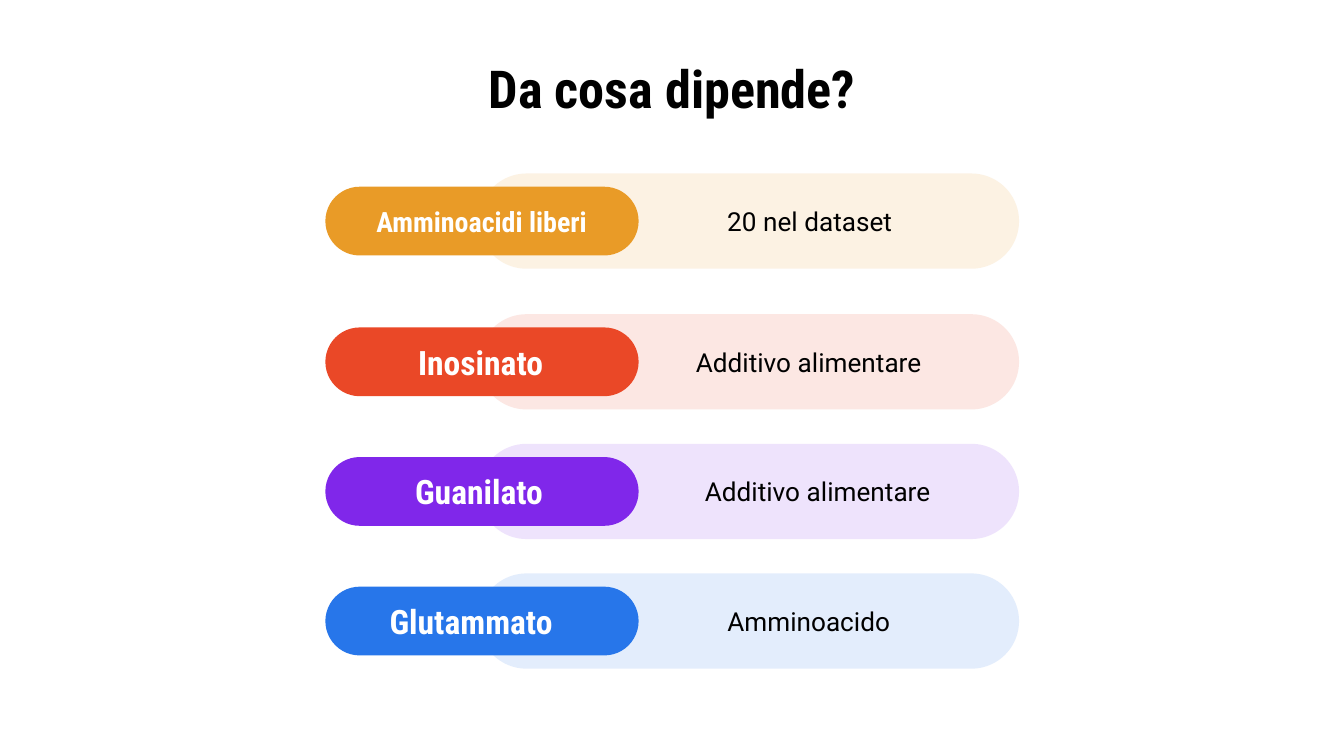
from lxml import etree
from pptx import Presentation
from pptx import util as u
from pptx.dml.color import RGBColor
from pptx.enum import shapes, text
from pptx.oxml.ns import qn

HEADING_FONT = "Roboto Condensed"
BODY_FONT = "Roboto"
ROW_LEFT, ROW_WIDTH, ROW_HEIGHT = 6.15, 13.11, 1.8

# top, colour, label, label size, label offset, value, value offset
ROWS = [
    (3.28, "E99B27", "Amminoacidi liberi", 15, 0.48, "20 nel dataset", 6.4),
    (5.94, "EA4827", "Inosinato", 18, 0.46, "Additivo alimentare", 6.38),
    (8.39, "8027EA", "Guanilato", 18, 0.43, "Additivo alimentare", 6.55),
    (10.84, "2776EA", "Glutammato", 18, 0.28, "Amminoacido", 6.38),
]


def colour(value):
    return RGBColor.from_string(value)


def add_pill(page, box, fill, opacity=100):
    """Draw a fully rounded bar; opacity is in percent."""
    pill = page.shapes.add_shape(
        shapes.MSO_SHAPE.ROUNDED_RECTANGLE, *map(u.Cm, box))
    pill.adjustments[0] = 0.5
    pill.shadow.inherit = False
    pill.line.fill.background()
    pill.fill.solid()
    pill.fill.fore_color.rgb = colour(fill)
    if opacity < 100:
        tint = pill.fill._xPr.find(qn("a:solidFill"))[0]
        etree.SubElement(tint, qn("a:alpha"), val=str(opacity * 1000))


def add_text(page, box, words, font, size, ink="000000", bold=False):
    frame = page.shapes.add_textbox(*map(u.Cm, box)).text_frame
    frame.word_wrap = True
    frame.vertical_anchor = text.MSO_ANCHOR.MIDDLE
    frame.margin_left = frame.margin_right = u.Cm(0.25)
    frame.margin_top = frame.margin_bottom = u.Cm(0.25)
    para = frame.paragraphs[0]
    para.text = words
    para.alignment = text.PP_ALIGN.CENTER
    para.font.name = font
    para.font.size = u.Pt(size)
    para.font.bold = bold
    para.font.color.rgb = colour(ink)


def add_title(page, box):
    add_text(page, box, "Da cosa dipende?", HEADING_FONT, 28, bold=True)


def add_row(page, box, fill, label, label_size, label_offset, value, value_offset):
    """Place a solid label pill over a pale band that holds the value."""
    left, top, width, height = box
    band_offset, pill_height, text_height = 2.9, 1.3, 0.92
    pill_top = top + (height - pill_height) / 2
    text_top = top + 0.44
    add_pill(page, (left + band_offset, top, width - band_offset, height), fill, 13)
    add_pill(page, (left, pill_top, 5.92, pill_height), fill)
    add_text(page, (left + value_offset, text_top, 5.51, text_height),
             value, BODY_FONT, 14)
    add_text(page, (left + label_offset, text_top, 4.95, text_height),
             label, HEADING_FONT, label_size, "FFFFFF", True)


def main():
    deck = Presentation()
    deck.slide_width, deck.slide_height = u.Cm(25.4), u.Cm(14.29)
    page = deck.slides.add_slide(deck.slide_layouts[6])
    add_title(page, (1.27, 1.14, 22.86, 1.04))
    for top, *content in ROWS:
        add_row(page, (ROW_LEFT, top, ROW_WIDTH, ROW_HEIGHT), *content)
    deck.save("out.pptx")


if __name__ == "__main__":
    main()
